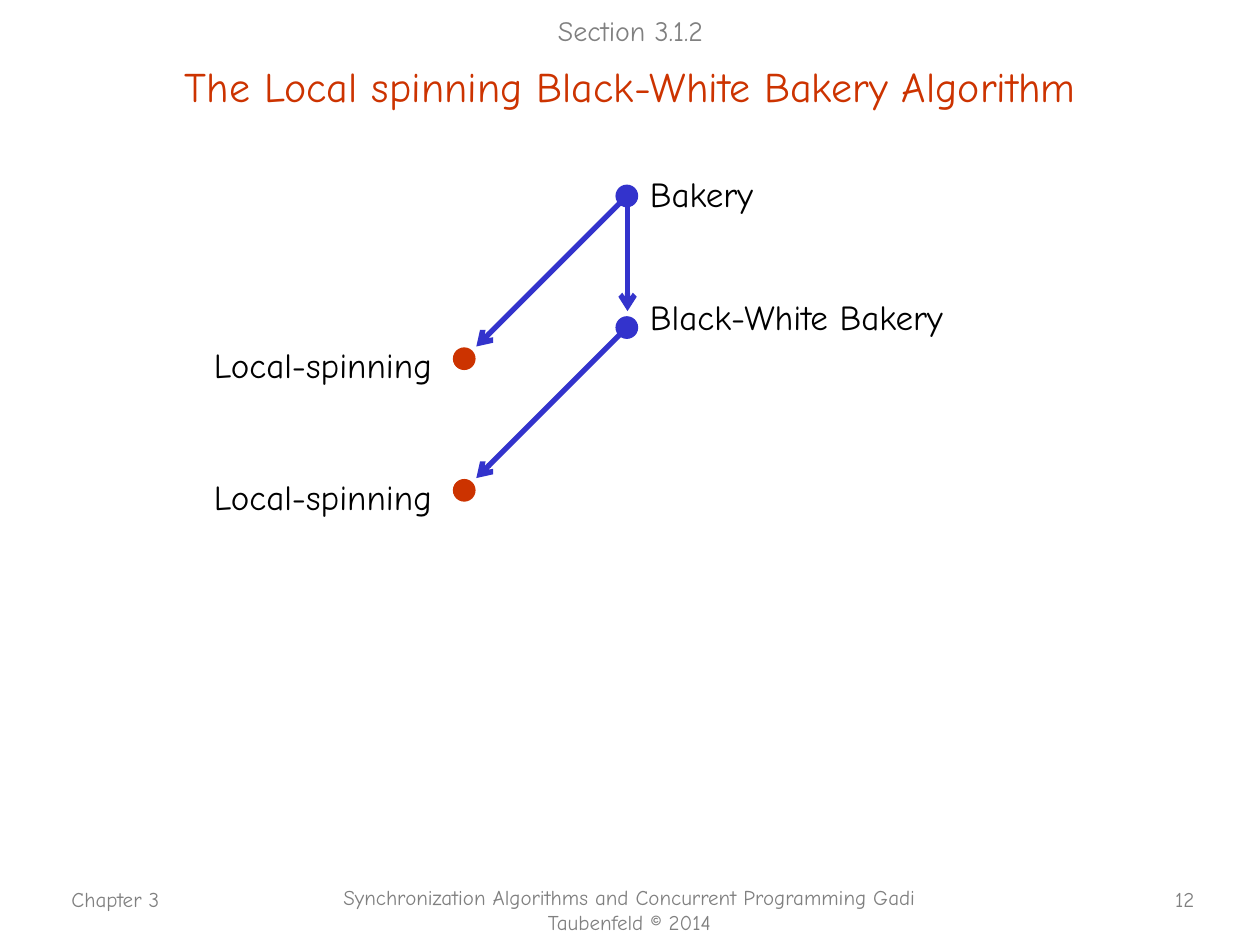
from typing import NamedTuple

from lxml.etree import SubElement
from pptx import Presentation
from pptx.dml.color import RGBColor
from pptx.enum.shapes import MSO_CONNECTOR as Link, MSO_SHAPE as Kind
from pptx.enum.text import MSO_ANCHOR as Anchor, MSO_AUTO_SIZE as Fit, PP_ALIGN as Align
from pptx.oxml.ns import qn
from pptx.util import Pt

FONT = "Comic Neue"
BLUE, RED, GRAY, BLACK = "3333CC", "CC3300", "808080", "000000"
DOT = 12.24
STEP = 75.2  # drop from one row of the tree to the next
TOP = 112
MAIN_X, SPIN_X = 358.2, 265.3
SPIN_DROP = 93


class Label(NamedTuple):
    text: str
    left: float
    top: float
    width: float
    height: float
    size: float = 20
    color: str = BLACK
    align: Align = Align.LEFT
    anchor: Anchor = Anchor.TOP


class Node(NamedTuple):
    x: float
    y: float
    color: str


class Arrow(NamedTuple):
    x1: float
    y1: float
    x2: float
    y2: float


def rgb(code: str) -> RGBColor:
    return RGBColor.from_string(code)


def fill_label(shape, label: Label) -> None:
    shape.left, shape.top = Pt(label.left), Pt(label.top)
    shape.width, shape.height = Pt(label.width), Pt(label.height)
    frame = shape.text_frame
    frame.text = label.text
    frame.word_wrap = True
    frame.auto_size = Fit.NONE
    frame.vertical_anchor = label.anchor
    para = frame.paragraphs[0]
    para.alignment = label.align
    font = para.runs[0].font
    font.name, font.size = FONT, Pt(label.size)
    font.color.rgb = rgb(label.color)


def add_label(slide, label: Label) -> None:
    fill_label(slide.shapes.add_textbox(0, 0, 0, 0), label)


def add_node(slide, node: Node) -> None:
    dot = slide.shapes.add_shape(
        Kind.OVAL, Pt(node.x - DOT / 2), Pt(node.y - DOT / 2), Pt(DOT), Pt(DOT))
    dot.shadow.inherit = False
    dot.fill.solid()
    dot.fill.fore_color.rgb = rgb(node.color)
    dot.line.color.rgb = rgb(node.color)
    dot.line.width = Pt(0.75)


def add_arrow(slide, arrow: Arrow) -> None:
    line = slide.shapes.add_connector(Link.STRAIGHT, *map(Pt, arrow))
    line.line.color.rgb = rgb(BLUE)
    line.line.width = Pt(3)
    SubElement(line.line._get_or_add_ln(), qn("a:tailEnd"), type="arrow")
    SubElement(line._element.spPr, qn("a:effectLst"))


def main() -> None:
    deck = Presentation()
    deck.slide_width, deck.slide_height = Pt(720), Pt(540)
    slide = deck.slides.add_slide(deck.slide_layouts[5])

    fill_label(slide.shapes.title, Label(
        "The Local spinning Black-White Bakery Algorithm",
        54, 15.84, 612, 66.24, 24, RED, Align.CENTER, Anchor.MIDDLE))

    labels = [
        Label("Section 3.1.2", 292.3, 4.3, 136, 26, 16, GRAY, Align.CENTER, Anchor.MIDDLE),
        Label("Bakery", 364.3, 95, 79.2, 31),
        Label("Black-White Bakery", 364.3, 165.6, 201, 31),
        Label("Chapter 3", 33.8, 503.3, 150, 36, 12, GRAY),
        Label("Synchronization Algorithms and Concurrent Programming Gadi Taubenfeld © 2014",
              185.8, 501.8, 347.8, 36, 12, GRAY, Align.CENTER),
        Label("12", 655.9, 503.3, 33.8, 21.6, 12, GRAY, Align.RIGHT),
    ]
    arrows = [Arrow(358.6, TOP, 358.6, 177.8)]
    nodes = []
    for row in range(2):
        y = TOP + row * STEP
        spin_y = y + SPIN_DROP
        nodes += [Node(MAIN_X, y, BLUE), Node(SPIN_X, spin_y, RED)]
        arrows.append(Arrow(MAIN_X, y, 272.2, y + 86))
        labels.append(Label("Local-spinning", 115.2, spin_y - 12, 144, 31))

    for arrow in arrows:
        add_arrow(slide, arrow)
    for node in nodes:
        add_node(slide, node)
    for label in labels:
        add_label(slide, label)
    deck.save("out.pptx")


if __name__ == "__main__":
    main()
